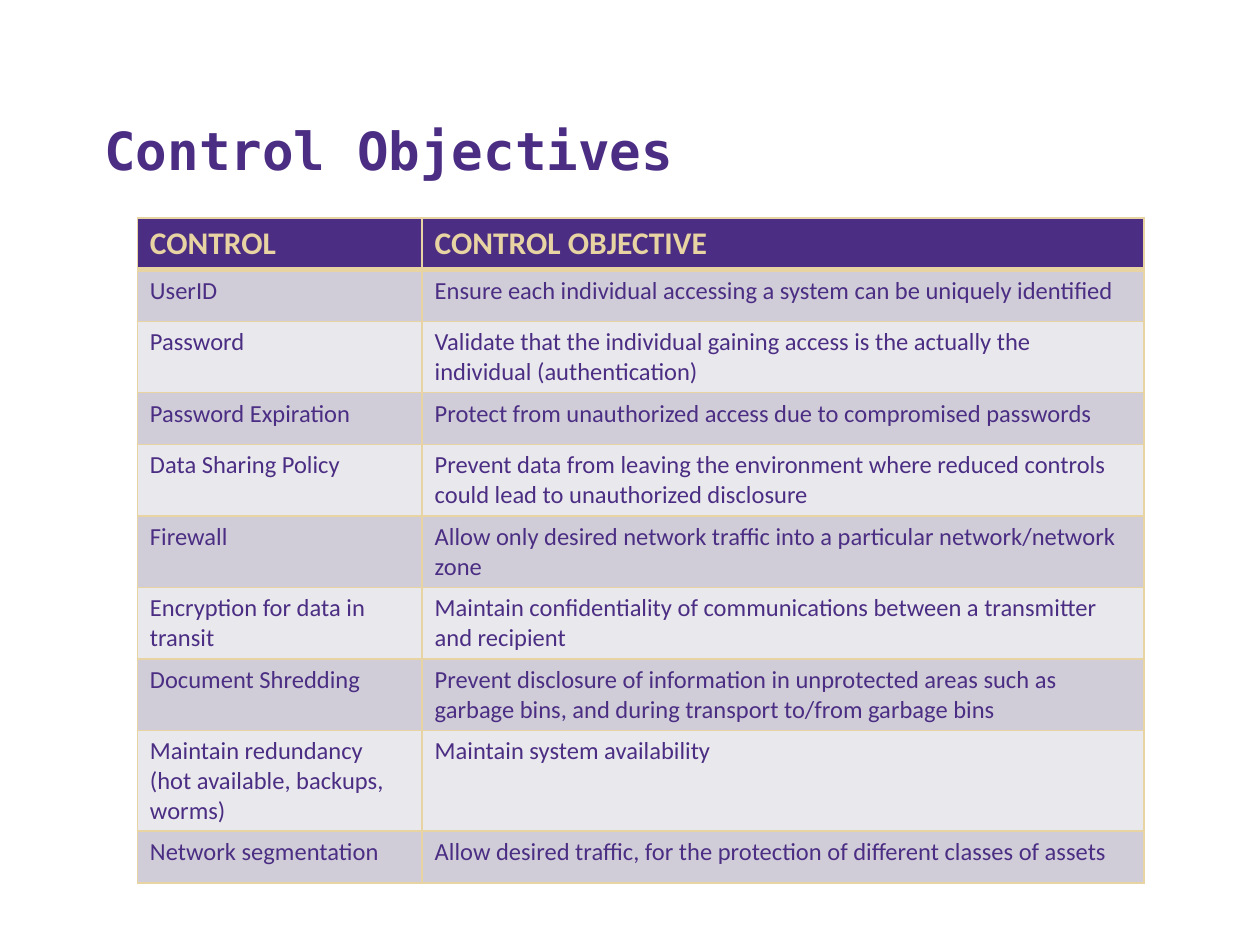
from dataclasses import dataclass

from lxml import etree
from pptx import Presentation
from pptx import util as u
from pptx.dml.color import RGBColor
from pptx.enum import text
from pptx.oxml import ns


@dataclass(frozen=True)
class Theme:
    """Colours, fonts and type sizes of the slide."""
    purple: str = "4B2E83"
    gold: str = "E8D3A2"
    bands: tuple = ("D0CDD9", "E9E8ED")
    title_font: str = "DejaVu Sans Mono"
    body_font: str = "Calibri"
    title_size: int = 30
    header_size: int = 18
    body_size: int = 14
    thin_line: int = 1
    thick_line: int = 3


THEME = Theme()

HEADER = ("CONTROL", "CONTROL OBJECTIVE")
CONTROLS = [
    ("UserID",
     "Ensure each individual accessing a system can be uniquely identified"),
    ("Password",
     "Validate that the individual gaining access is the actually the "
     "individual (authentication)"),
    ("Password Expiration",
     "Protect from unauthorized access due to compromised passwords"),
    ("Data Sharing Policy",
     "Prevent data from leaving the environment where reduced controls "
     "could lead to unauthorized disclosure"),
    ("Firewall",
     "Allow only desired network traffic into a particular network/network zone"),
    ("Encryption for data in transit",
     "Maintain confidentiality of communications between a transmitter "
     "and recipient"),
    ("Document Shredding",
     "Prevent disclosure of information in unprotected areas such as "
     "garbage bins, and during transport to/from garbage bins"),
    ("Maintain redundancy (hot available, backups, worms)",
     "Maintain system availability"),
    ("Network segmentation",
     "Allow desired traffic, for the protection of different classes of assets"),
]
COLUMN_WIDTHS = (2.26, 5.73)
ROW_HEIGHT = 0.41


def add_run(paragraph, wording, font, size, color, bold=False):
    """Add one styled run to a paragraph."""
    run = paragraph.add_run()
    run.text = wording
    run.font.name = font
    run.font.size = u.Pt(size)
    run.font.bold = bold
    run.font.color.rgb = RGBColor.from_string(color)


def add_title(slide, wording):
    """Add the bottom-anchored slide title."""
    shape = slide.shapes.add_textbox(
        u.Inches(0.73), u.Inches(0.41), u.Inches(8.95), u.Inches(1.08))
    frame = shape.text_frame
    frame.word_wrap = True
    frame.vertical_anchor = text.MSO_ANCHOR.BOTTOM
    add_run(frame.paragraphs[0], wording, THEME.title_font,
            THEME.title_size, THEME.purple, bold=True)


def set_borders(cell, top, bottom):
    """Draw gold borders; top and bottom widths are in points."""
    properties = cell._tc.get_or_add_tcPr()
    widths = {"L": THEME.thin_line, "R": THEME.thin_line,
              "T": top, "B": bottom}
    for position, (side, width) in enumerate(widths.items()):
        line = etree.Element(ns.qn(f"a:ln{side}"), w=str(u.Pt(width)))
        fill = etree.SubElement(line, ns.qn("a:solidFill"))
        etree.SubElement(fill, ns.qn("a:srgbClr"), val=THEME.gold)
        properties.insert(position, line)


def fill_cell(cell, wording, row):
    """Write and style one table cell according to its row."""
    is_header = row == 0
    fill = THEME.purple if is_header else THEME.bands[(row - 1) % 2]
    cell.fill.solid()
    cell.fill.fore_color.rgb = RGBColor.from_string(fill)
    add_run(cell.text_frame.paragraphs[0], wording, THEME.body_font,
            THEME.header_size if is_header else THEME.body_size,
            THEME.gold if is_header else THEME.purple, bold=is_header)
    set_borders(cell,
                top=THEME.thick_line if row == 1 else THEME.thin_line,
                bottom=THEME.thick_line if is_header else THEME.thin_line)


def add_control_table(slide, rows):
    """Add the table of controls and their objectives."""
    table = slide.shapes.add_table(
        len(rows), len(COLUMN_WIDTHS), u.Inches(1.09), u.Inches(1.73),
        u.Inches(sum(COLUMN_WIDTHS)), u.Inches(ROW_HEIGHT * len(rows))).table
    for column, width in zip(table.columns, COLUMN_WIDTHS):
        column.width = u.Inches(width)
    for row, entries in enumerate(rows):
        table.rows[row].height = u.Inches(ROW_HEIGHT)
        for column, wording in enumerate(entries):
            fill_cell(table.cell(row, column), wording, row)


def main():
    """Build and save the slide."""
    presentation = Presentation()
    presentation.slide_width = u.Inches(10)
    presentation.slide_height = u.Inches(7.5)
    slide = presentation.slides.add_slide(presentation.slide_layouts[6])
    add_title(slide, "Control Objectives")
    add_control_table(slide, [HEADER, *CONTROLS])
    presentation.save("out.pptx")


main()
